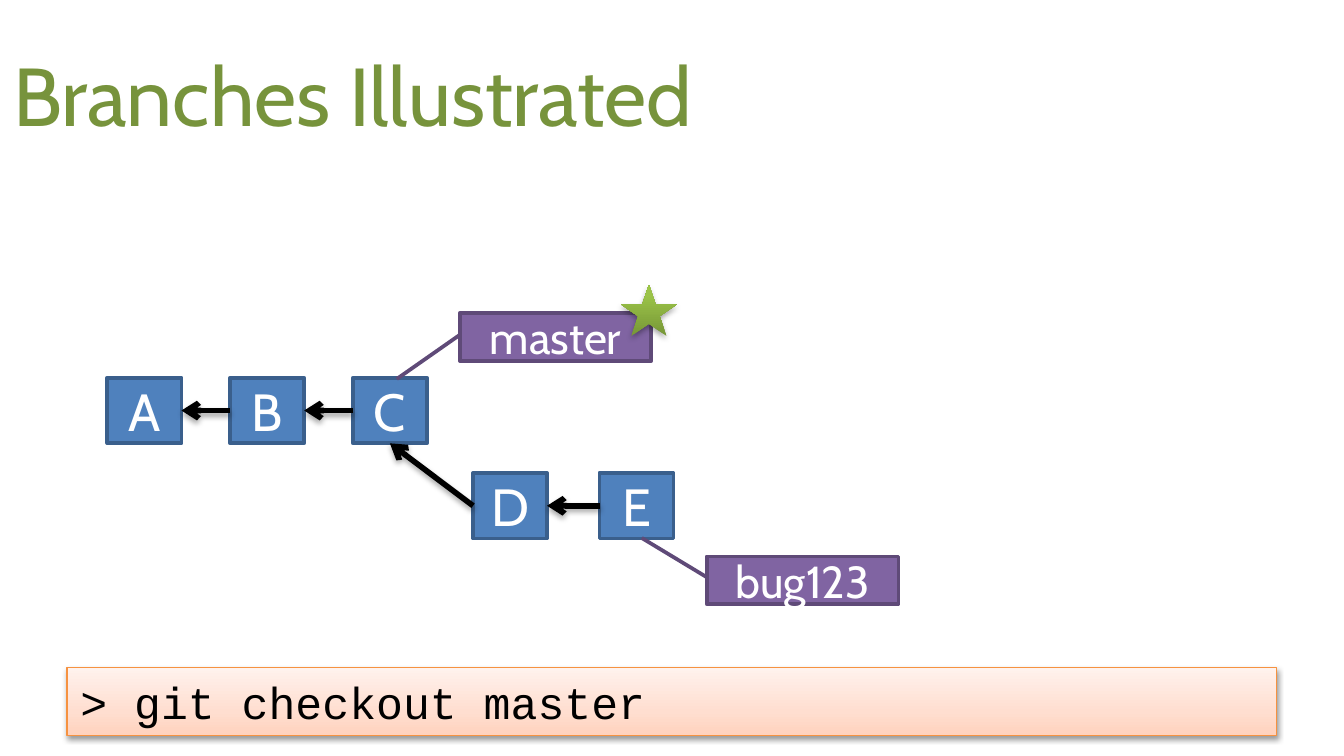
from pptx import Presentation
from pptx.dml.color import RGBColor
from pptx.enum.shapes import MSO_CONNECTOR as CONN, MSO_SHAPE as SHAPE
from pptx.enum.text import MSO_ANCHOR as ANCHOR, PP_ALIGN as ALIGN
from pptx.oxml.ns import qn
from pptx.util import Cm, Pt
from lxml.etree import SubElement

TOP, LEFT, BOTTOM, RIGHT = range(4)
BOX_W, BOX_H = 1.4, 1.24
MAIN_X, MAIN_Y, PITCH = 2.03, 7.14, 2.32
BUG_Y = 8.94

COMMIT = dict(fill="4F81BD", line="3A5F8C", width=2)
LABEL = dict(fill="8064A2", line="5F4A78", width=2)
COMMAND = dict(fill=[(0, "FFD2BD"), (35, "FFDED0"), (100, "FFF2ED")],
               line="F69240", width=0.75)
STAR = dict(fill=[(0, "779737"), (80, "9BC348"), (100, "9DC746")])


def rgb(color):
    return RGBColor.from_string(color)


def set_shadow(s, alpha=None, dist=1.8):
    """Replace the theme shadow; without alpha there is none."""
    effects = SubElement(s._element.spPr, qn("a:effectLst"))
    if alpha:
        shadow = SubElement(effects, qn("a:outerShdw"), blurRad=str(Pt(3.1)),
                            dist=str(Pt(dist)), dir="5400000", rotWithShape="0")
        color = SubElement(shadow, qn("a:srgbClr"), val="000000")
        SubElement(color, qn("a:alpha"), val=str(alpha * 1000))


def set_gradient(s, stops):
    s.fill.gradient()
    s.fill.gradient_angle = 90
    gs_list = next(s._element.spPr.iter(qn("a:gsLst")))
    for gs in list(gs_list):
        gs_list.remove(gs)
    for pos, color in stops:
        gs = SubElement(gs_list, qn("a:gs"), pos=str(pos * 1000))
        SubElement(gs, qn("a:srgbClr"), val=color)


def set_text(s, text, size, color, font="Cabin", align=ALIGN.LEFT,
             anchor=ANCHOR.MIDDLE):
    tf = s.text_frame
    frame = dict(word_wrap=True, vertical_anchor=anchor)
    for name, value in frame.items():
        setattr(tf, name, value)
    p = tf.paragraphs[0]
    p.alignment = align
    r = p.add_run()
    r.text = text
    for name, value in dict(name=font, size=Pt(size)).items():
        setattr(r.font, name, value)
    r.font.color.rgb = rgb(color)


def add_shape(slide, kind, box, fill, line=None, width=0, **shadow):
    s = slide.shapes.add_shape(kind, *map(Cm, box))
    if isinstance(fill, list):
        set_gradient(s, fill)
    else:
        s.fill.solid()
        s.fill.fore_color.rgb = rgb(fill)
    if line:
        s.line.color.rgb = rgb(line)
        s.line.width = Pt(width)
    else:
        s.line.fill.background()
    set_shadow(s, **shadow)
    return s


def add_commit(slide, name, x, y):
    s = add_shape(slide, SHAPE.RECTANGLE, (x, y, BOX_W, BOX_H), **COMMIT)
    set_text(s, name, 28, "FFFFFF", align=ALIGN.CENTER)
    return s


def add_label(slide, name, x, y, pointer):
    s = add_shape(slide, SHAPE.LINE_CALLOUT_1, (x, y, 3.62, 0.9), **LABEL)
    for i, value in enumerate(pointer):
        s.adjustments[i] = value
    set_text(s, name, 24, "FFFFFF", align=ALIGN.CENTER)


def add_arrow(slide, child, parent, parent_side):
    c = slide.shapes.add_connector(CONN.STRAIGHT, 0, 0, 0, 0)
    c.begin_connect(child, LEFT)
    c.end_connect(parent, parent_side)
    c.line.color.rgb = rgb("000000")
    c.line.width = Pt(3)
    SubElement(c._element.spPr.find(qn("a:ln")), qn("a:tailEnd"), type="arrow")
    set_shadow(c, alpha=35)


def main():
    prs = Presentation()
    prs.slide_width, prs.slide_height = Cm(25.4), Cm(14.29)
    slide = prs.slides.add_slide(prs.slide_layouts[6])

    # Title
    title = slide.shapes.add_textbox(Cm(0), Cm(0.58), Cm(22.86), Cm(2.39))
    set_text(title, "Branches Illustrated", 44, "77933C")

    # Commits on the main line and on the bug branch
    places = {name: (MAIN_X + i * PITCH, MAIN_Y) for i, name in enumerate("ABC")}
    places.update(D=(8.94, BUG_Y), E=(11.33, BUG_Y))
    commits = {name: add_commit(slide, name, *at) for name, at in places.items()}

    # Each commit points to its parent
    for child, parent, side in [("B", "A", RIGHT), ("C", "B", RIGHT),
                                ("D", "C", BOTTOM), ("E", "D", RIGHT)]:
        add_arrow(slide, commits[child], commits[parent], side)

    # Branch labels, with a star on the current branch
    add_label(slide, "master", 8.69, 5.92, (0.446, 0.004, 1.383, -0.329))
    add_label(slide, "bug123", 13.36, 10.52, (0.446, 0.004, -0.389, -0.34))
    add_shape(slide, SHAPE.STAR_5_POINT, (11.73, 5.38, 1.07, 0.97),
              **STAR, alpha=35)

    # Command line
    command = add_shape(slide, SHAPE.RECTANGLE, (1.27, 12.62, 22.86, 1.28),
                        **COMMAND, alpha=38, dist=1.6)
    set_text(command, "> git checkout master", 24, "000000",
             font="Courier New", anchor=ANCHOR.TOP)

    prs.save("out.pptx")


if __name__ == "__main__":
    main()
